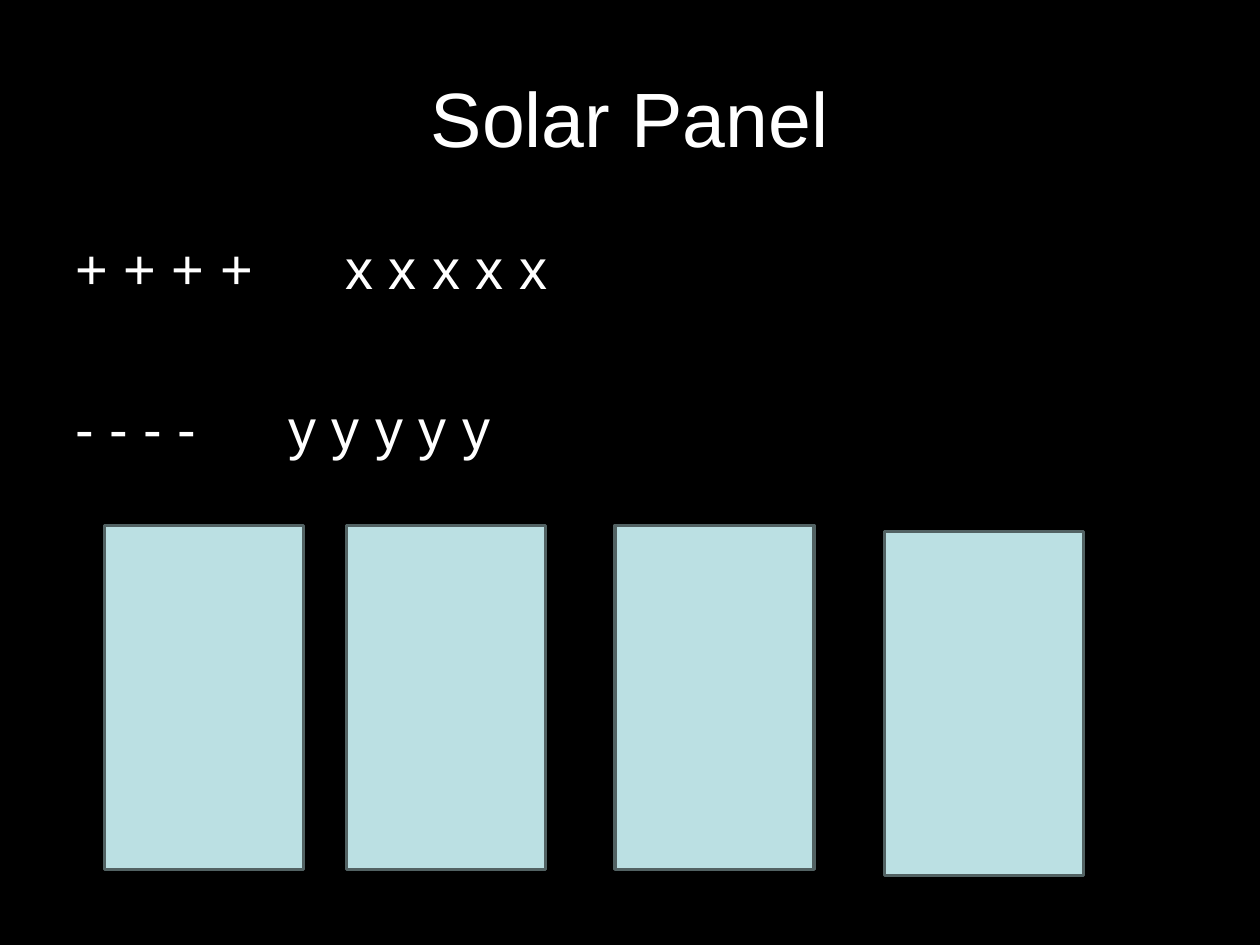
from lxml import etree
from pptx import Presentation
from pptx import util as u
from pptx.dml.color import RGBColor
from pptx.enum import shapes, text
from pptx.oxml.ns import qn


def rgb(value):
    return RGBColor.from_string(value)


def add_run(p, words, size):
    r = p.add_run()
    r.text = words
    r.font.name = "Arial"
    r.font.size = u.Pt(size)
    r.font.color.rgb = rgb("FFFFFF")


prs = Presentation()
prs.slide_width, prs.slide_height = u.Inches(10), u.Inches(7.5)
s = prs.slides.add_slide(prs.slide_layouts[5])
s.background.fill.solid()
s.background.fill.fore_color.rgb = rgb("000000")

title = s.shapes.title
title.left, title.top = u.Inches(0.5), u.Inches(0.3)
title.width, title.height = u.Inches(9), u.Inches(1.25)
tf = title.text_frame
tf.vertical_anchor = text.MSO_ANCHOR.MIDDLE
p = tf.paragraphs[0]
p.alignment = text.PP_ALIGN.CENTER
add_run(p, "Solar Panel", 44)

body = s.shapes.add_textbox(u.Inches(0.5), u.Inches(1.75), u.Inches(9), u.Inches(4.95))
tf = body.text_frame
tf.word_wrap = True
tf.margin_top = u.Inches(0.1)
charges = [("+ + + +", "x x x x x", 2.14, 0), ("- - - -", "y y y y y", 1.69, 53.5)]
for i, (signs, letters, stop, before) in enumerate(charges):
    p = tf.add_paragraph() if i else tf.paragraphs[0]
    p.space_before = u.Pt(before)
    tabs = etree.SubElement(p._p.get_or_add_pPr(), qn("a:tabLst"))
    etree.SubElement(tabs, qn("a:tab"), pos=str(u.Inches(stop)), algn="l")
    add_run(p, signs + "\t" + letters, 32)

for left, top in [(0.83, 4.17), (2.75, 4.17), (4.88, 4.17), (7.02, 4.22)]:
    sp = s.shapes.add_shape(shapes.MSO_SHAPE.RECTANGLE, u.Inches(left), u.Inches(top),
                            u.Inches(1.58), u.Inches(2.73))
    sp.shadow.inherit = False
    sp.fill.solid()
    sp.fill.fore_color.rgb = rgb("BBE0E3")
    sp.line.color.rgb = rgb("526263")
    sp.line.width = u.Pt(2)

prs.save("out.pptx")
